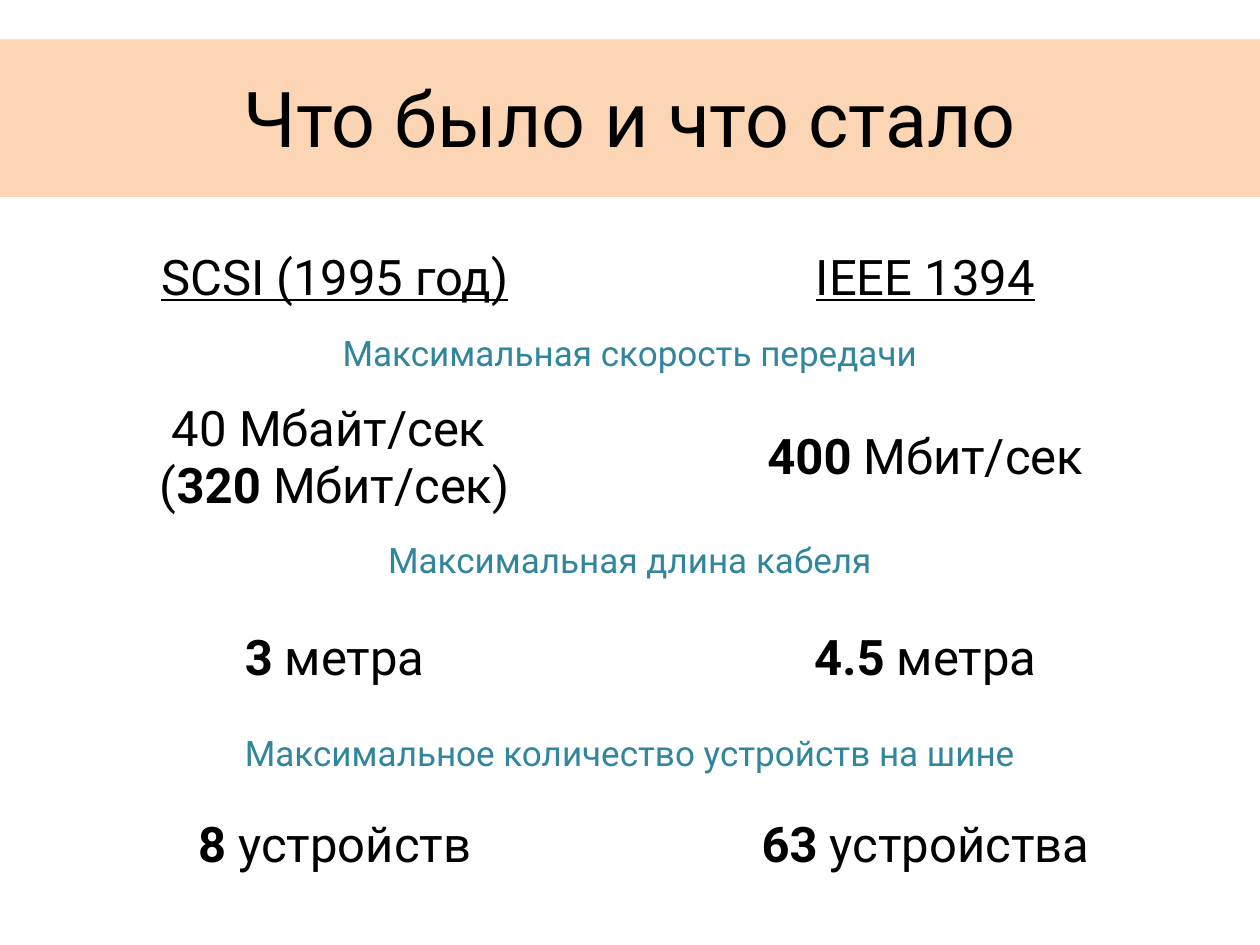
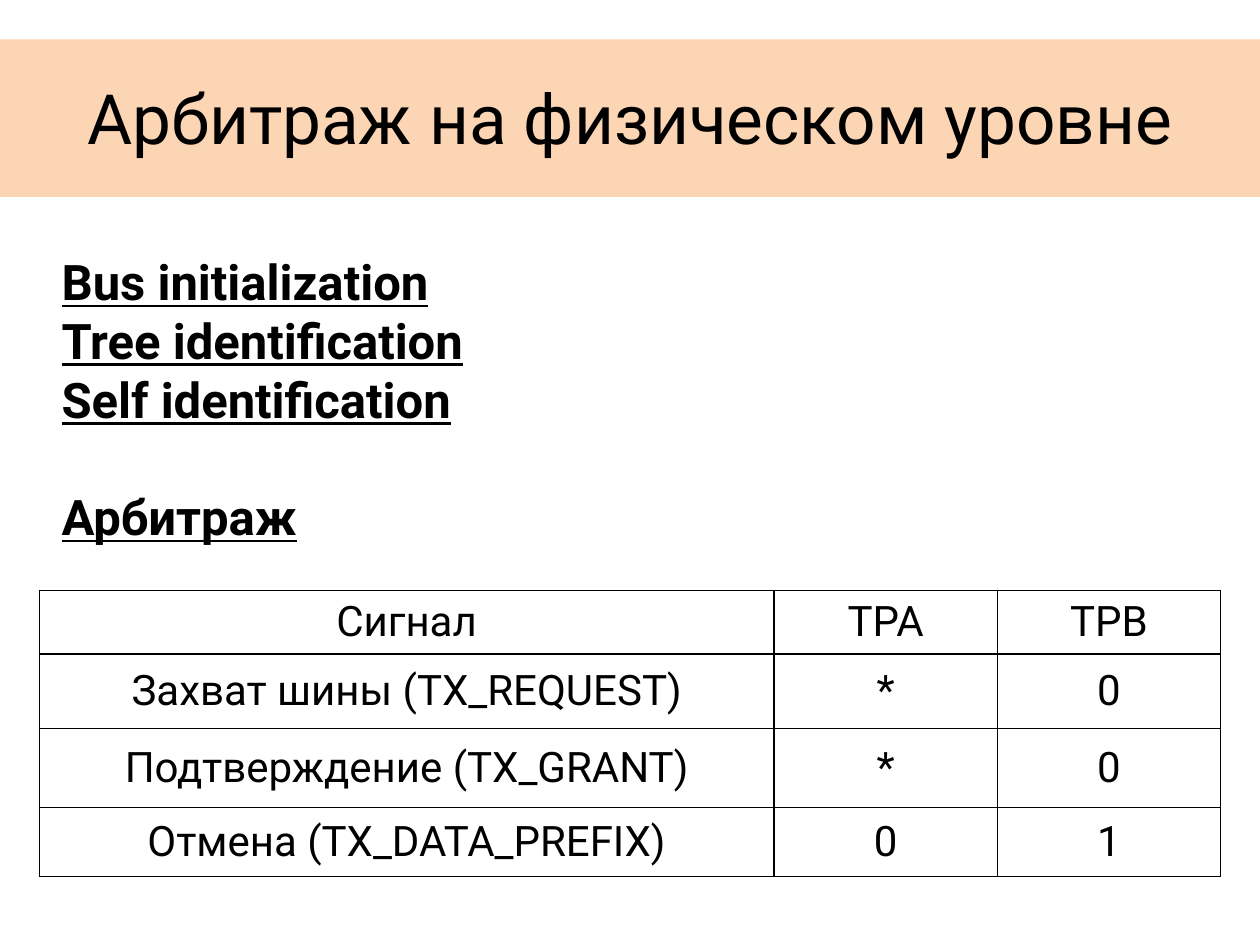
from dataclasses import dataclass

from lxml.etree import SubElement
from pptx import Presentation
from pptx.dml.color import RGBColor
from pptx.enum.shapes import MSO_SHAPE as Preset
from pptx.enum.text import MSO_ANCHOR as Anchor, MSO_AUTO_SIZE as AutoSize, PP_ALIGN as Align
from pptx.oxml.ns import qn
from pptx.slide import Slide
from pptx.table import Table, _Cell as Cell
from pptx.text.text import TextFrame
from pptx.util import Pt

FONT = "Roboto"
BLACK = "000000"
TEAL = "31859C"
PEACH = "FCD5B5"
SLIDE_WIDTH = 720
SLIDE_HEIGHT = 540
MARGIN = 22.5
CONTENT_WIDTH = SLIDE_WIDTH - 2 * MARGIN
BAND_TOP = 22.5
BAND_HEIGHT = 90
TITLE_ONLY = 5
NO_STYLE = "{2D5ABB26-0587-4C30-8999-92F81FD0307C}"
BOLD_MARK = "|"


@dataclass(frozen=True)
class Row:
    height: float
    texts: tuple[str, ...]
    size: float = 28
    color: str = BLACK
    underline: bool = False


def caption(text: str) -> Row:
    return Row(45.4, (text,), size=20, color=TEAL)


COMPARISON = (
    Row(41.8, ("SCSI (1995 год)", "IEEE 1394"), underline=True),
    caption("Максимальная скорость передачи"),
    Row(73, ("40 Мбайт/сек \n(|320| Мбит/сек)", "|400| Мбит/сек")),
    caption("Максимальная длина кабеля"),
    Row(65, ("|3| метра", "|4.5| метра")),
    caption("Максимальное количество устройств на шине"),
    Row(58.5, ("|8| устройств", "|63| устройства")),
)

SIGNALS = (
    Row(36.3, ("Сигнал", "TPA", "TPB"), size=24),
    Row(42.6, ("Захват шины (TX_REQUEST)", "*", "0"), size=24),
    Row(45.2, ("Подтверждение (TX_GRANT)", "*", "0"), size=24),
    Row(39.4, ("Отмена (TX_DATA_PREFIX)", "0", "1"), size=24),
)

PHASES = "Bus initialization\nTree identification\nSelf identification\nАрбитраж"


def rgb(color: str) -> RGBColor:
    return RGBColor.from_string(color)


def write_text(frame: TextFrame, text: str, *, size: float, color: str = BLACK,
               bold: bool = False, underline: bool = False,
               align: Align = Align.CENTER) -> None:
    for number, line in enumerate(text.split("\n")):
        paragraph = frame.add_paragraph() if number else frame.paragraphs[0]
        paragraph.alignment = align
        for position, piece in enumerate(line.split(BOLD_MARK)):
            if not piece:
                continue
            run = paragraph.add_run()
            run.text = piece
            font = run.font
            font.name = FONT
            font.size = Pt(size)
            font.bold = bold or position % 2 == 1
            font.underline = underline
            font.color.rgb = rgb(color)


def add_titled_slide(presentation: Presentation, title: str, size: float) -> Slide:
    slide = presentation.slides.add_slide(presentation.slide_layouts[TITLE_ONLY])
    band = slide.shapes.add_shape(Preset.RECTANGLE, 0, Pt(BAND_TOP), Pt(SLIDE_WIDTH), Pt(BAND_HEIGHT))
    band.shadow.inherit = False
    band.fill.solid()
    band.fill.fore_color.rgb = rgb(PEACH)
    band.line.fill.background()

    heading = slide.shapes.title
    heading.element.addprevious(band.element)
    heading.left, heading.top = Pt(MARGIN), Pt(BAND_TOP - 0.9)
    heading.width, heading.height = Pt(CONTENT_WIDTH), Pt(BAND_HEIGHT)
    frame = heading.text_frame
    frame.auto_size = AutoSize.NONE
    frame.vertical_anchor = Anchor.MIDDLE
    write_text(frame, title, size=size)
    return slide


def add_borders(cell: Cell) -> None:
    properties = cell._tc.get_or_add_tcPr()
    for side in ("lnL", "lnR", "lnT", "lnB"):
        line = SubElement(properties, qn(f"a:{side}"), w=str(Pt(1)))
        fill = SubElement(line, qn("a:solidFill"))
        SubElement(fill, qn("a:srgbClr"), val=BLACK)


def add_text_table(slide: Slide, rows: tuple[Row, ...], widths: tuple[float, ...],
                   top: float, bordered: bool = False) -> Table:
    shape = slide.shapes.add_table(len(rows), len(widths), Pt(MARGIN), Pt(top),
                                   Pt(sum(widths)), Pt(sum(row.height for row in rows)))
    table = shape.table
    table.first_row = table.horz_banding = False
    table._tbl.tblPr.find(qn("a:tableStyleId")).text = NO_STYLE
    for column, width in zip(table.columns, widths):
        column.width = Pt(width)
    for row_number, row in enumerate(rows):
        table.rows[row_number].height = Pt(row.height)
        if len(row.texts) == 1:
            table.cell(row_number, 0).merge(table.cell(row_number, len(widths) - 1))
        for column_number, text in enumerate(row.texts):
            cell = table.cell(row_number, column_number)
            cell.vertical_anchor = Anchor.MIDDLE
            if bordered:
                add_borders(cell)
            cell.fill.background()
            write_text(cell.text_frame, text, size=row.size, color=row.color,
                       underline=row.underline)
    return table


def add_phase_list(slide: Slide) -> None:
    box = slide.shapes.add_textbox(Pt(28.1), Pt(140.4), Pt(663.8), Pt(177))
    frame = box.text_frame
    frame.word_wrap = True
    write_text(frame, PHASES, size=28, bold=True, underline=True, align=Align.LEFT)
    frame.paragraphs[-1].space_before = Pt(33.5)


def main() -> None:
    presentation = Presentation()
    presentation.slide_width = Pt(SLIDE_WIDTH)
    presentation.slide_height = Pt(SLIDE_HEIGHT)

    comparison = add_titled_slide(presentation, "Что было и что стало", 44)
    add_text_table(comparison, COMPARISON, (CONTENT_WIDTH / 2,) * 2, 138.2)

    arbitration = add_titled_slide(presentation, "Арбитраж на физическом уровне", 39.6)
    add_phase_list(arbitration)
    line_width = 127.6
    signal_widths = (CONTENT_WIDTH - 2 * line_width, line_width, line_width)
    add_text_table(arbitration, SIGNALS, signal_widths, 337.5, bordered=True)

    presentation.save("out.pptx")


if __name__ == "__main__":
    main()
